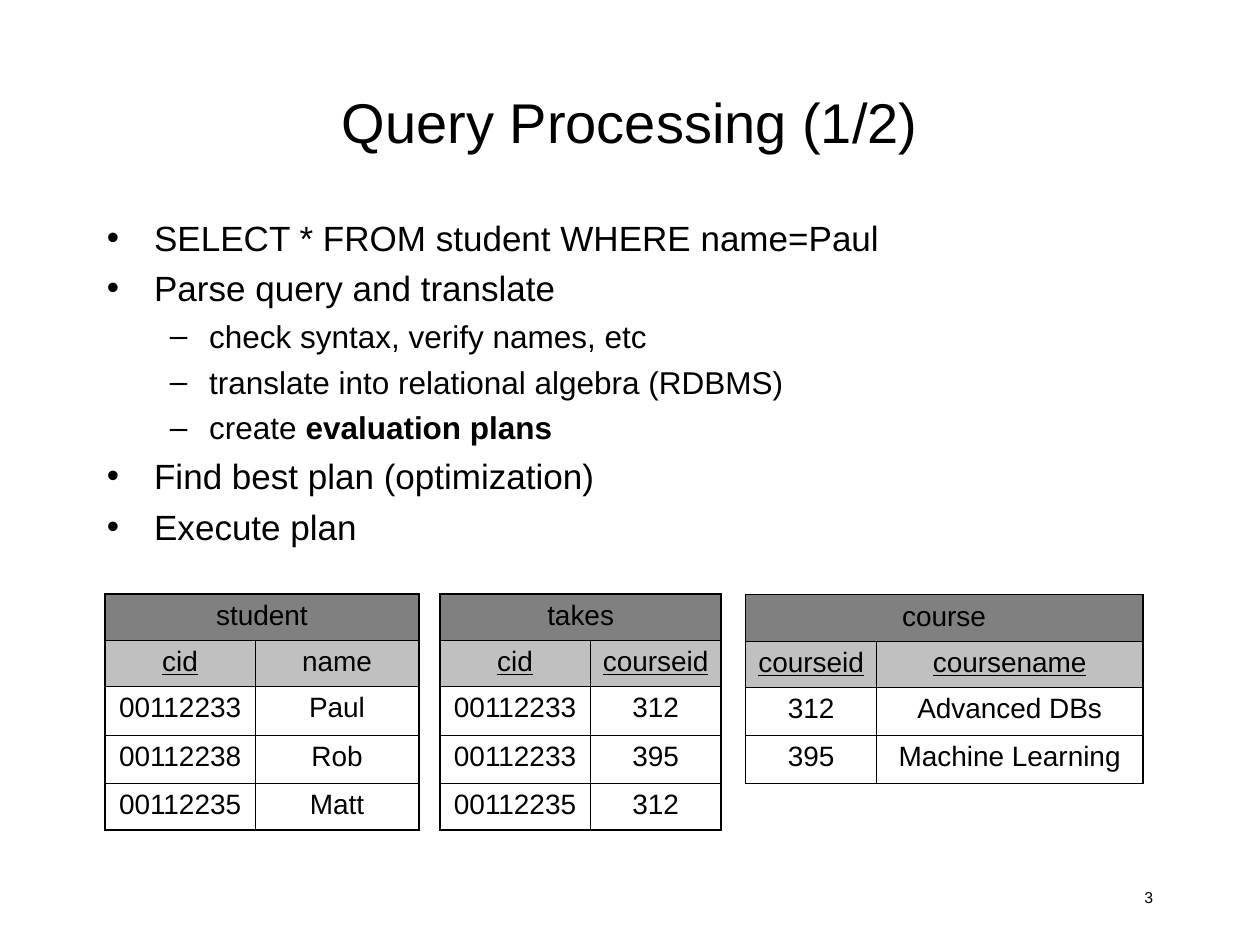
from lxml.etree import SubElement
from pptx import Presentation
from pptx.dml.color import RGBColor
from pptx.enum.text import MSO_ANCHOR, PP_ALIGN
from pptx.oxml.ns import qn
from pptx.util import Pt

BLACK = RGBColor(0x00, 0x00, 0x00)
NAME_GRAY = RGBColor(0x80, 0x80, 0x80)
COLUMN_GRAY = RGBColor(0xC0, 0xC0, 0xC0)
FONT = "Arial"
OUTER, INNER = 1.08, 0.45

TITLE = "Query Processing (1/2)"
PAGE_NUMBER = "3"

# (level, plain text, bold ending)
STEPS = [
    (0, "SELECT * FROM student WHERE name=Paul", ""),
    (0, "Parse query and translate", ""),
    (1, "check syntax, verify names, etc", ""),
    (1, "translate into relational algebra (RDBMS)", ""),
    (1, "create ", "evaluation plans"),
    (0, "Find best plan (optimization)", ""),
    (0, "Execute plan", ""),
]
# Per level: bullet, font size, space before, left margin, hanging indent
LEVELS = [("•", 20, 5, 27, 27), ("–", 18, 4.5, 58.5, 22.5)]

RELATIONS = [
    {
        "name": "student", "left": 60, "top": 339.3,
        "widths": [85.8, 93.6], "heights": [26.4, 26.4, 27.8, 27.8, 26.4],
        "columns": ["cid", "name"], "keys": ["cid"],
        "rows": [("00112233", "Paul"), ("00112238", "Rob"), ("00112235", "Matt")],
    },
    {
        "name": "takes", "left": 251.4, "top": 339.3,
        "widths": [85.8, 75], "heights": [26.4, 26.4, 27.8, 27.8, 26.4],
        "columns": ["cid", "courseid"], "keys": ["cid", "courseid"],
        "rows": [("00112233", "312"), ("00112233", "395"), ("00112235", "312")],
    },
    {
        "name": "course", "left": 426, "top": 339.8,
        "widths": [75, 152], "heights": [26.4, 26.4, 27.6, 27.6],
        "columns": ["courseid", "coursename"], "keys": ["courseid", "coursename"],
        "rows": [("312", "Advanced DBs"), ("395", "Machine Learning")],
    },
]


def style(paragraph, size, alignment=PP_ALIGN.LEFT):
    paragraph.alignment = alignment
    font = paragraph.font
    font.name, font.size = FONT, Pt(size)
    font.color.rgb = BLACK


def add_text_frame(slide, left, top, width, height):
    box = slide.shapes.add_textbox(Pt(left), Pt(top), Pt(width), Pt(height))
    box.text_frame.word_wrap = True
    return box.text_frame


def add_steps(text_frame):
    for index, (level, text, bold_text) in enumerate(STEPS):
        bullet, size, space, margin, hanging = LEVELS[level]
        paragraph = text_frame.paragraphs[0] if index == 0 else text_frame.add_paragraph()
        paragraph.level = level
        paragraph.space_before = Pt(space)
        properties = paragraph._p.get_or_add_pPr()
        properties.set("marL", str(Pt(margin)))
        properties.set("indent", str(-Pt(hanging)))
        SubElement(properties, qn("a:buFont")).set("typeface", FONT)
        SubElement(properties, qn("a:buChar")).set("char", bullet)
        style(paragraph, size)
        paragraph.add_run().text = text
        if bold_text:
            run = paragraph.add_run()
            run.text = bold_text
            run.font.bold = True


def set_borders(cell, **widths):
    """Draw black borders; widths are keyed L, R, T and B, in that order."""
    properties = cell._tc.get_or_add_tcPr()
    for side, width in widths.items():
        line = SubElement(properties, qn(f"a:ln{side}"), w=str(Pt(width)))
        fill = SubElement(line, qn("a:solidFill"))
        SubElement(fill, qn("a:srgbClr")).set("val", str(BLACK))


def add_relation(slide, relation):
    widths, heights = relation["widths"], relation["heights"]
    last_row, last_column = len(heights) - 1, len(widths) - 1
    table = slide.shapes.add_table(
        len(heights), len(widths), Pt(relation["left"]), Pt(relation["top"]),
        Pt(sum(widths)), Pt(sum(heights))).table
    table.first_row = table.horz_banding = False
    for column, width in zip(table.columns, widths):
        column.width = Pt(width)
    for row, height in zip(table.rows, heights):
        row.height = Pt(height)
    table.cell(0, 0).merge(table.cell(0, last_column))

    contents = [(relation["name"], ""), relation["columns"], *relation["rows"]]
    for r, texts in enumerate(contents):
        for c, text in enumerate(texts):
            cell = table.cell(r, c)
            set_borders(
                cell,
                L=OUTER if c == 0 else INNER,
                R=OUTER if c == last_column or r == 0 else INNER,
                T=OUTER if r == 0 else INNER,
                B=OUTER if r == last_row else INNER)
            if r < 2:
                cell.fill.solid()
                cell.fill.fore_color.rgb = (NAME_GRAY, COLUMN_GRAY)[r]
            else:
                cell.fill.background()
            if text:
                cell.text = text
                paragraph = cell.text_frame.paragraphs[0]
                style(paragraph, 16, PP_ALIGN.CENTER)
                paragraph.font.underline = r == 1 and text in relation["keys"]


def main():
    presentation = Presentation()
    presentation.slide_width, presentation.slide_height = Pt(720), Pt(540)
    slide = presentation.slides.add_slide(presentation.slide_layouts[6])

    number = add_text_frame(slide, 516, 504, 150, 24)
    number.text = PAGE_NUMBER
    style(number.paragraphs[0], 9, PP_ALIGN.RIGHT)

    title = add_text_frame(slide, 54, 24, 612, 90)
    title.vertical_anchor = MSO_ANCHOR.MIDDLE
    title.text = TITLE
    style(title.paragraphs[0], 32, PP_ALIGN.CENTER)

    add_steps(add_text_frame(slide, 54, 120, 612, 372))
    for relation in RELATIONS:
        add_relation(slide, relation)
    presentation.save("out.pptx")


if __name__ == "__main__":
    main()
